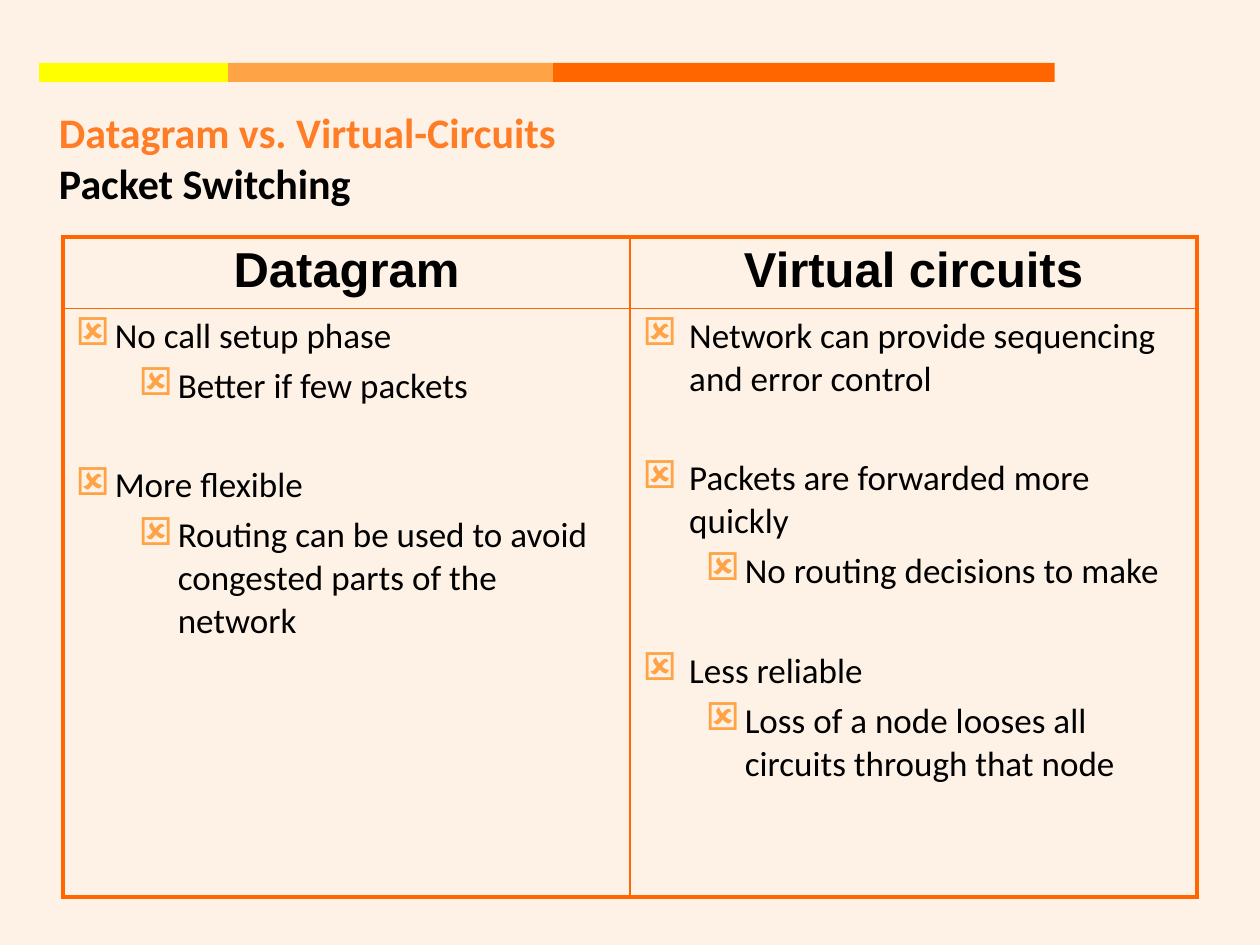
from lxml import etree
from pptx import Presentation
from pptx.dml.color import RGBColor
from pptx.enum.shapes import MSO_SHAPE
from pptx.enum.text import PP_ALIGN
from pptx.oxml.ns import qn
from pptx.util import Cm, Pt

RECT = MSO_SHAPE.RECTANGLE
CENTER = PP_ALIGN.CENTER

CREAM = RGBColor(0xFE, 0xF2, 0xE6)
YELLOW = RGBColor(0xFF, 0xFF, 0x00)
LIGHT_ORANGE = RGBColor(0xFF, 0xA3, 0x47)
ORANGE = RGBColor(0xFF, 0x66, 0x00)
TITLE_ORANGE = RGBColor(0xFF, 0x7D, 0x26)
BLACK = RGBColor(0, 0, 0)

OUTER, INNER = Pt(2.25), Pt(1)
LINE_GAP, GROUP_GAP = Pt(4), Pt(32.5)
SUB_LEFT, SUB_HANG = Cm(2.06), Cm(0.79)

# (heading, hanging indent of the main points, [(point, sub-points)])
COLUMNS = [
    ("Datagram", Cm(0.79), [
        ("No call setup phase", ["Better if few packets"]),
        ("More flexible",
         ["Routing can be used to avoid congested parts of the network"]),
    ]),
    ("Virtual circuits", Cm(0.94), [
        ("Network can provide sequencing and error control", []),
        ("Packets are forwarded more quickly",
         ["No routing decisions to make"]),
        ("Less reliable",
         ["Loss of a node looses all circuits through that node"]),
    ]),
]


def format_run(r, font, size, color, bold=False):
    r.font.name = font
    r.font.size = Pt(size)
    r.font.color.rgb = color
    r.font.bold = bold


def add_color_bar(slide):
    left = Cm(0.79)
    for width, color in ((Cm(3.81), YELLOW), (Cm(6.55), LIGHT_ORANGE),
                         (Cm(10.11), ORANGE)):
        sp = slide.shapes.add_shape(RECT, left, Cm(1.27), width, Cm(0.38))
        sp.shadow.inherit = False
        sp.fill.solid()
        sp.fill.fore_color.rgb = color
        sp.line.fill.background()
        left += width


def add_title(slide):
    box = slide.shapes.add_textbox(Cm(0.94), Cm(2.03), Cm(19.61), Cm(2.51))
    tf = box.text_frame
    tf.word_wrap = True
    p = tf.paragraphs[0]
    p.text = "Datagram vs. Virtual-Circuits\vPacket Switching"
    for r, color in zip(p.runs, (TITLE_ORANGE, BLACK)):
        format_run(r, "Calibri", 24, color, bold=True)


def set_borders(cell, **widths):
    """Draw the sides L, R, T and B in the given widths."""
    tc_pr = cell._tc.get_or_add_tcPr()
    for side in "LRTB":
        ln = etree.SubElement(tc_pr, qn(f"a:ln{side}"), w=str(widths[side]))
        fill = etree.SubElement(ln, qn("a:solidFill"))
        etree.SubElement(fill, qn("a:srgbClr"), val=str(ORANGE))


def set_bullet(p, left, hang):
    p_pr = p._p.get_or_add_pPr()
    p_pr.set("marL", str(left))
    p_pr.set("indent", str(-hang))
    color = etree.SubElement(p_pr, qn("a:buClr"))
    etree.SubElement(color, qn("a:srgbClr"), val=str(LIGHT_ORANGE))
    etree.SubElement(p_pr, qn("a:buSzPct"), val="110000")
    etree.SubElement(p_pr, qn("a:buChar"), char="☒")


def fill_heading(cell, text):
    p = cell.text_frame.paragraphs[0]
    p.text = text
    p.alignment = CENTER
    format_run(p.runs[0], "Arial", 28, BLACK, bold=True)


def fill_points(cell, points, hang):
    lines = []
    for point, subpoints in points:
        lines.append((point, 0))
        lines += [(sub, 1) for sub in subpoints]
    tf = cell.text_frame
    tf.text = "\n".join(text for text, _ in lines)
    for i, (p, (_, level)) in enumerate(zip(tf.paragraphs, lines)):
        p.level = level
        if i:
            p.space_before = LINE_GAP if level else GROUP_GAP
        if level:
            set_bullet(p, SUB_LEFT, SUB_HANG)
        else:
            set_bullet(p, hang, hang)
        format_run(p.runs[0], "Calibri", 20, BLACK)


def add_comparison(slide):
    table = slide.shapes.add_table(2, 2, Cm(1.27), Cm(4.78),
                                   Cm(22.86), Cm(13.29)).table
    table.first_row = table.horz_banding = False
    table.rows[0].height, table.rows[1].height = Cm(1.43), Cm(11.86)
    for col, (heading, hang, points) in enumerate(COLUMNS):
        table.columns[col].width = Cm(11.43)
        fill_heading(table.cell(0, col), heading)
        fill_points(table.cell(1, col), points, hang)
        for row in range(2):
            cell = table.cell(row, col)
            set_borders(cell,
                        L=INNER if col else OUTER, R=OUTER if col else INNER,
                        T=INNER if row else OUTER, B=OUTER if row else INNER)
            cell.fill.background()


def main():
    prs = Presentation()
    prs.slide_width, prs.slide_height = Cm(25.4), Cm(19.05)
    slide = prs.slides.add_slide(prs.slide_layouts[6])
    slide.background.fill.solid()
    slide.background.fill.fore_color.rgb = CREAM
    add_color_bar(slide)
    add_title(slide)
    add_comparison(slide)
    prs.save("out.pptx")


if __name__ == "__main__":
    main()
